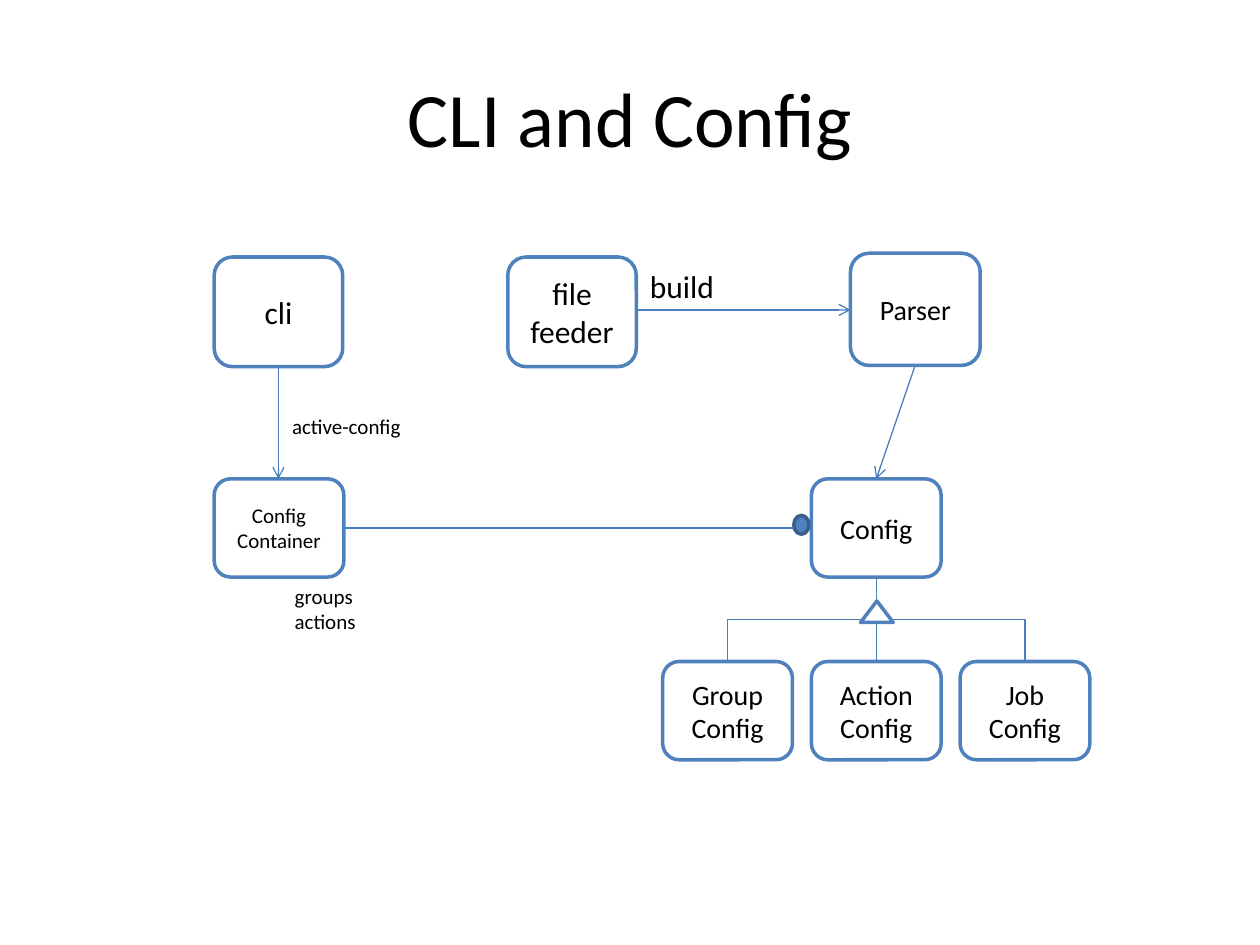
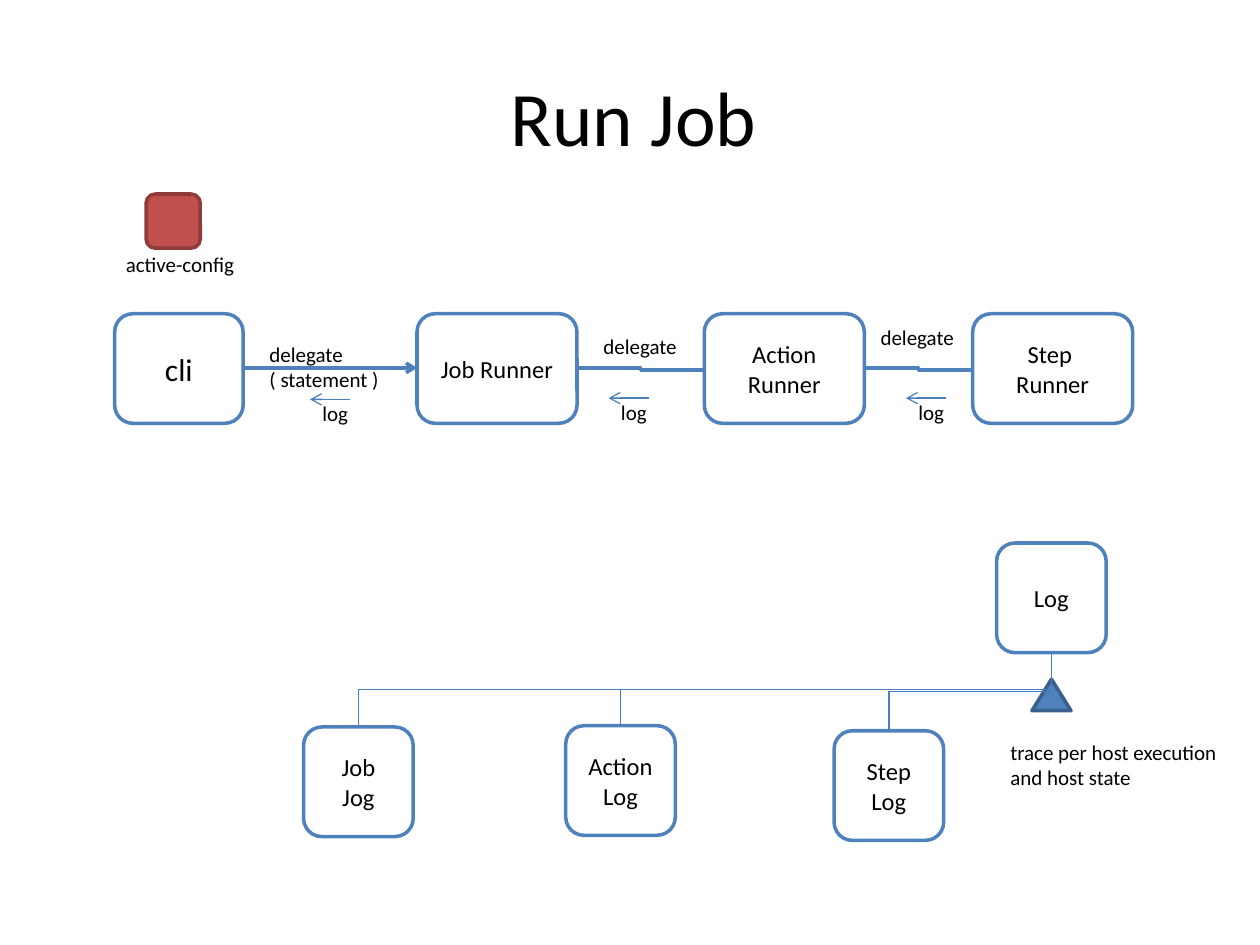
from pptx import Presentation
from pptx.dml.color import RGBColor
from pptx.enum.shapes import MSO_CONNECTOR as LINK, MSO_SHAPE as SHAPE
from pptx.enum.text import MSO_ANCHOR as ANCHOR, MSO_AUTO_SIZE as FIT, PP_ALIGN as ALIGN
from pptx.oxml.ns import qn
from pptx.util import Inches, Pt
from lxml.etree import SubElement

# Shared look
BLACK = RGBColor(0, 0, 0)
WHITE = RGBColor(255, 255, 255)
BLUE = RGBColor(0x4F, 0x81, 0xBD)
THIN_BLUE = RGBColor(0x4B, 0x7E, 0xBC)
DARK_BLUE = RGBColor(0x3A, 0x5F, 0x8C)
RED = RGBColor(0xC0, 0x50, 0x4D)
DARK_RED = RGBColor(0x8E, 0x3B, 0x39)
FONT = "Calibri"
THIN, THICK = 0.75, 2

# Common measures, in inches
CLASS_W, CLASS_H = 1.03, 0.78
ACTOR_W, ACTOR_H = 1.02, 0.87
RUNNER_W = 1.27
LOG_SIDE = 0.87


def set_all(target, values):
    for name, value in values.items():
        setattr(target, name, value)


def write(frame, text, size, align):
    """Fill a text frame; each line of text is one paragraph."""
    frame.text = text
    for para in frame.paragraphs:
        para.alignment = align
        for span in para.runs:
            set_all(span.font, {"name": FONT, "size": Pt(size)})
            span.font.color.rgb = BLACK


def add_page(deck, title, left=0.5, top=0.3):
    page = deck.slides.add_slide(deck.slide_layouts[5])
    holder = page.shapes.title
    set_all(holder, {"left": Inches(left), "top": Inches(top),
                     "width": Inches(9), "height": Inches(1.25)})
    write(holder.text_frame, title, 44, ALIGN.CENTER)
    holder.text_frame.vertical_anchor = ANCHOR.MIDDLE
    return page


def add_figure(page, kind, place, fill=WHITE, edge=BLUE):
    figure = page.shapes.add_shape(kind, *map(Inches, place))
    figure.shadow.inherit = False
    figure.fill.solid()
    figure.fill.fore_color.rgb = fill
    figure.line.color.rgb = edge
    figure.line.width = Pt(THICK)
    return figure


def add_box(page, text, left, top, width, height, size):
    box = add_figure(page, SHAPE.ROUNDED_RECTANGLE, (left, top, width, height))
    write(box.text_frame, text, size, ALIGN.CENTER)
    set_all(box.text_frame, {"word_wrap": True, "vertical_anchor": ANCHOR.MIDDLE})


def add_label(page, text, left, top, width, height=0.3, size=12, fill=None):
    label = page.shapes.add_textbox(*map(Inches, (left, top, width, height)))
    if fill is not None:
        label.fill.solid()
        label.fill.fore_color.rgb = fill
    write(label.text_frame, text, size, ALIGN.LEFT)
    set_all(label.text_frame, {"word_wrap": False, "auto_size": FIT.SHAPE_TO_FIT_TEXT})


def add_link(page, start, end, kind=LINK.STRAIGHT, color=THIN_BLUE, width=THIN, arrow=False):
    link = page.shapes.add_connector(kind, *map(Inches, (*start, *end)))
    link.line.color.rgb = color
    link.line.width = Pt(width)
    if arrow:
        SubElement(link.line._get_or_add_ln(), qn("a:tailEnd"), type="arrow")
    SubElement(link._element.spPr, qn("a:effectLst"))
    return link


def add_branch(page, parent, child):
    """Elbow that leaves the parent downwards: a sideways elbow, turned."""
    (x1, y1), (x2, y2) = parent, child
    mid_x, mid_y = (x1 + x2) / 2, (y1 + y2) / 2
    half_w, half_h = (y2 - y1) / 2, abs(x2 - x1) / 2
    rightward = x2 > x1
    if rightward:
        half_w = -half_w
    link = add_link(page, (mid_x - half_w, mid_y - half_h),
                    (mid_x + half_w, mid_y + half_h), LINK.ELBOW)
    link._element.spPr.find(qn("a:xfrm")).set("rot", str((270 if rightward else 90) * 60000))


def build_config_page(deck):
    page = add_page(deck, "CLI and Config")
    left_x, config_x, actor_y, class_y, child_y = 1.7, 6.44, 2.04, 3.8, 5.25
    center = config_x + CLASS_W / 2
    bottom = class_y + CLASS_H
    pitch = 1.18

    # Config and its three kinds
    add_box(page, "Config", config_x, class_y, CLASS_W, CLASS_H, 16)
    for column, name in enumerate(("Group", "Action", "Job"), -1):
        offset = column * pitch
        add_box(page, name + " Config", config_x + offset, child_y, CLASS_W, CLASS_H, 16)
        add_child = add_branch if column else add_link
        add_child(page, (center, bottom), (center + offset, child_y))
    add_figure(page, SHAPE.ISOSCELES_TRIANGLE, (6.83, 4.77, 0.26, 0.17))

    # Feeder builds the parser, which makes the config
    add_box(page, "file feeder", 4.03, actor_y, ACTOR_W, ACTOR_H, 18)
    add_box(page, "Parser", 6.75, 2.01, CLASS_W, 0.89, 16)
    add_link(page, (5.06, 2.46), (6.75, 2.46), arrow=True)
    add_link(page, (7.26, 2.91), (center, class_y), arrow=True)
    add_label(page, "build", 5.06, 2.07, 0.72, 0.4, 18)

    # Command line and its container
    add_box(page, "cli", left_x, actor_y, ACTOR_W, ACTOR_H, 18)
    add_link(page, (2.21, actor_y + ACTOR_H), (2.21, class_y), arrow=True)
    add_label(page, "active-config", 2.22, 3.23, 1.07)
    add_box(page, "Config\nContainer", left_x, class_y, CLASS_W, CLASS_H, 12)
    middle = class_y + CLASS_H / 2
    add_link(page, (left_x + CLASS_W, middle), (config_x, middle))
    add_figure(page, SHAPE.OVAL, (6.3, 4.09, 0.12, 0.15), BLUE, DARK_BLUE)
    add_label(page, "groups\nactions", 2.24, bottom, 0.69, 0.5)


def build_run_page(deck):
    page = add_page(deck, "Run Job", 0.53, 0.29)
    row_y, axis_y = 2.49, 2.92

    # Active config marker
    add_label(page, "active-config", 0.9, 1.95, 1.07)
    add_figure(page, SHAPE.ROUNDED_RECTANGLE, (1.16, 1.54, 0.43, 0.43), RED, DARK_RED)

    # Chain of runners
    add_box(page, "cli", 0.91, row_y, ACTOR_W, ACTOR_H, 18)
    runners = (("Job Runner", 3.31), ("Action Runner", 5.59), ("Step \nRunner", 7.72))
    for name, left in runners:
        add_box(page, name, left, row_y, RUNNER_W, ACTOR_H, 14)
    add_label(page, "delegate \n( statement )", 2.04, 2.66, 1.08, 0.5, fill=WHITE)
    add_link(page, (1.93, axis_y), (3.31, axis_y), color=BLUE, width=THICK, arrow=True)
    for (_, left), (_, following) in zip(runners, runners[1:]):
        add_link(page, (left + RUNNER_W, axis_y), (following, axis_y + 0.015),
                 LINK.ELBOW, BLUE, THICK)
    for left, top in ((4.69, 2.6), (6.89, 2.53)):
        add_label(page, "delegate", left, top, 0.79, fill=WHITE)

    # Logs that come back
    for left, top in ((2.46, 3.13), (4.83, 3.12), (7.19, 3.12)):
        add_link(page, (left + 0.32, top + 0.04), (left, top + 0.04), arrow=True)
        add_label(page, "log", left, top, 0.41)

    # Log and its three kinds
    parent_x, parent_y = 7.91, 4.31
    half = LOG_SIDE / 2
    add_box(page, "Log", parent_x, parent_y, LOG_SIDE, LOG_SIDE, 14)
    add_figure(page, SHAPE.ISOSCELES_TRIANGLE, (8.19, 5.39, 0.31, 0.25), BLUE, DARK_BLUE)
    for name, left, top in (("Job\nJog", 2.41, 5.77), ("Action\nLog", 4.49, 5.76),
                            ("Step\nLog", 6.62, 5.8)):
        add_box(page, name, left, top, LOG_SIDE, LOG_SIDE, 14)
        add_branch(page, (parent_x + half, parent_y + LOG_SIDE), (left + half, top))
    add_label(page, "trace per host execution\nand host state", 7.92, 5.82, 1.86, 0.5)


def main():
    deck = Presentation()
    set_all(deck, {"slide_width": Inches(10), "slide_height": Inches(7.5)})
    build_config_page(deck)
    build_run_page(deck)
    deck.save("out.pptx")


main()
